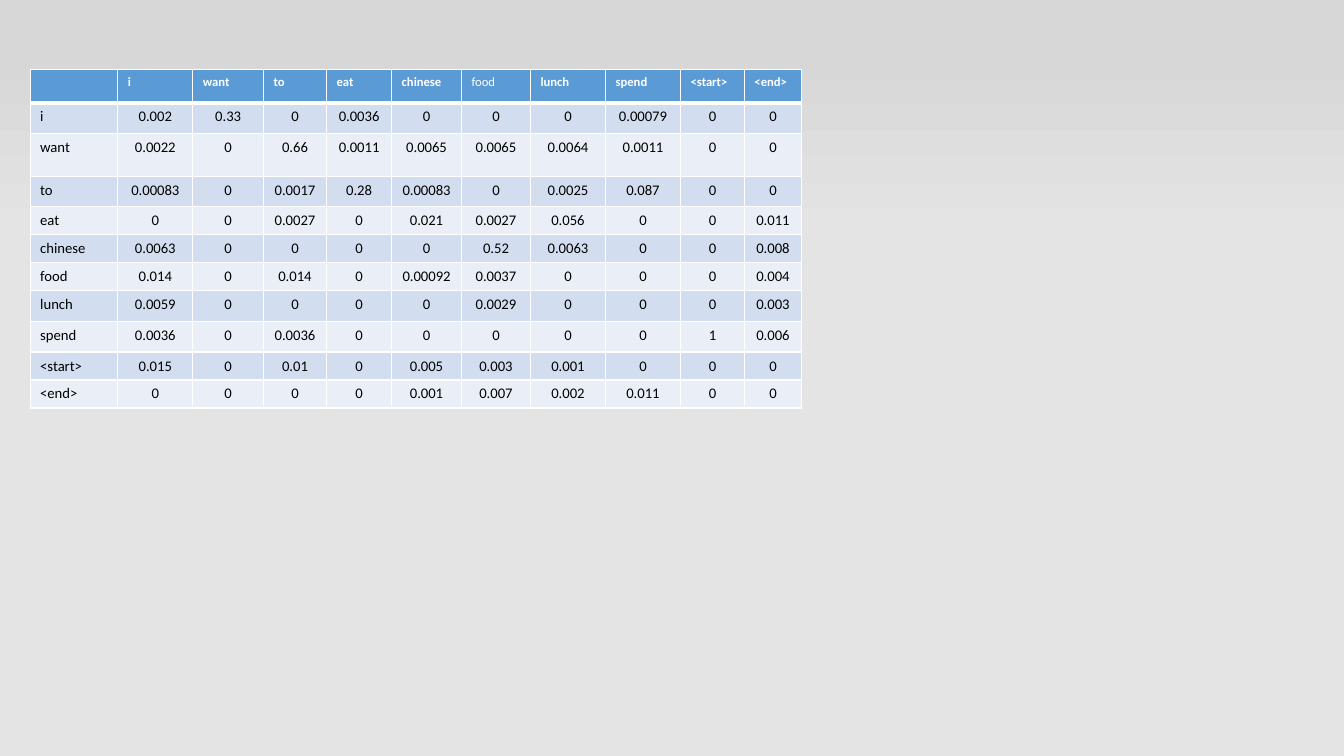
from lxml.etree import SubElement
from pptx import Presentation
from pptx.dml.color import RGBColor as RGB
from pptx.enum.text import PP_ALIGN as ALIGN
from pptx.oxml.ns import qn
from pptx.util import Cm, Pt

FONT = "Calibri"
COLORS = {
    "header": "5B9BD5",
    "band_dark": "D2DEEF",
    "band_light": "EAEFF7",
    "white": "FFFFFF",
    "black": "000000",
    "bg_top": "D7D7D7",
    "bg_bottom": "E4E4E4",
}

# Bigram probabilities: one row per first word, one column per second word
WORDS = ["i", "want", "to", "eat", "chinese", "food", "lunch", "spend",
         "<start>", "<end>"]
PROBABILITIES = [
    "0.002 0.33 0 0.0036 0 0 0 0.00079 0 0",
    "0.0022 0 0.66 0.0011 0.0065 0.0065 0.0064 0.0011 0 0",
    "0.00083 0 0.0017 0.28 0.00083 0 0.0025 0.087 0 0",
    "0 0 0.0027 0 0.021 0.0027 0.056 0 0 0.011",
    "0.0063 0 0 0 0 0.52 0.0063 0 0 0.008",
    "0.014 0 0.014 0 0.00092 0.0037 0 0 0 0.004",
    "0.0059 0 0 0 0 0.0029 0 0 0 0.003",
    "0.0036 0 0.0036 0 0 0 0 0 1 0.006",
    "0.015 0 0.01 0 0.005 0.003 0.001 0 0 0",
    "0 0 0 0 0.001 0.007 0.002 0.011 0 0",
]
COL_WIDTHS = [2.21, 1.89, 1.78, 1.59, 1.64, 1.76, 1.74, 1.89, 1.89, 1.61, 1.44]
ROW_HEIGHTS = [0.84, 0.78, 1.08, 0.76, 0.67, 0.67, 0.67, 0.77, 0.78, 0.67, 0.67]


def color(name):
    return RGB.from_string(COLORS[name])


def set_background(s):
    fill = s.background.fill
    fill.gradient()
    fill.gradient_angle = 270
    ends = [(0.07, "bg_top"), (0.31, "bg_bottom")]
    for stop, (position, name) in zip(fill.gradient_stops, ends):
        stop.position = position
        stop.color.rgb = color(name)


def write(tf, text, size=10.5, font_color="black", bold=False, align=ALIGN.LEFT):
    p = tf.paragraphs[0]
    p.alignment = align
    if not text:
        # Keeps an empty cell from growing to the default text size
        SubElement(p._p, qn("a:endParaRPr"), sz=str(int(size * 100)))
        return
    r = p.add_run()
    r.text = text
    r.font.name = FONT
    r.font.size = Pt(size)
    r.font.bold = bold
    r.font.color.rgb = color(font_color)


def set_borders(cell, top=1, bottom=1):
    tc_pr = cell._tc.get_or_add_tcPr()
    for side, width in [("L", 1), ("R", 1), ("T", top), ("B", bottom)]:
        ln = SubElement(tc_pr, qn(f"a:ln{side}"), w=str(Pt(width)))
        solid = SubElement(ln, qn("a:solidFill"))
        SubElement(solid, qn("a:srgbClr"), val=COLORS["white"])


def set_fill(cell, name):
    cell.fill.solid()
    cell.fill.fore_color.rgb = color(name)


def add_header(table):
    for col, word in enumerate([""] + WORDS):
        cell = table.cell(0, col)
        write(cell.text_frame, word, size=9, font_color="white",
              bold=word != "food")
        set_borders(cell, bottom=3)
        set_fill(cell, "header")


def add_word_row(table, row, word, values):
    for col, text in enumerate([word] + values):
        cell = table.cell(row, col)
        write(cell.text_frame, text, align=ALIGN.CENTER if col else ALIGN.LEFT)
        set_borders(cell, top=3 if row == 1 else 1)
        set_fill(cell, "band_dark" if row % 2 else "band_light")


def add_bigram_table(s):
    table = s.shapes.add_table(
        len(ROW_HEIGHTS), len(COL_WIDTHS), Cm(0.76), Cm(1.75),
        Cm(sum(COL_WIDTHS)), Cm(sum(ROW_HEIGHTS))).table
    for column, width in zip(table.columns, COL_WIDTHS):
        column.width = Cm(width)
    for row, height in zip(table.rows, ROW_HEIGHTS):
        row.height = Cm(height)

    add_header(table)
    for row, (word, line) in enumerate(zip(WORDS, PROBABILITIES), start=1):
        add_word_row(table, row, word, line.split())


def main():
    prs = Presentation()
    prs.slide_width, prs.slide_height = Cm(33.87), Cm(19.05)
    s = prs.slides.add_slide(prs.slide_layouts[6])
    set_background(s)
    add_bigram_table(s)
    prs.save("out.pptx")


if __name__ == "__main__":
    main()
